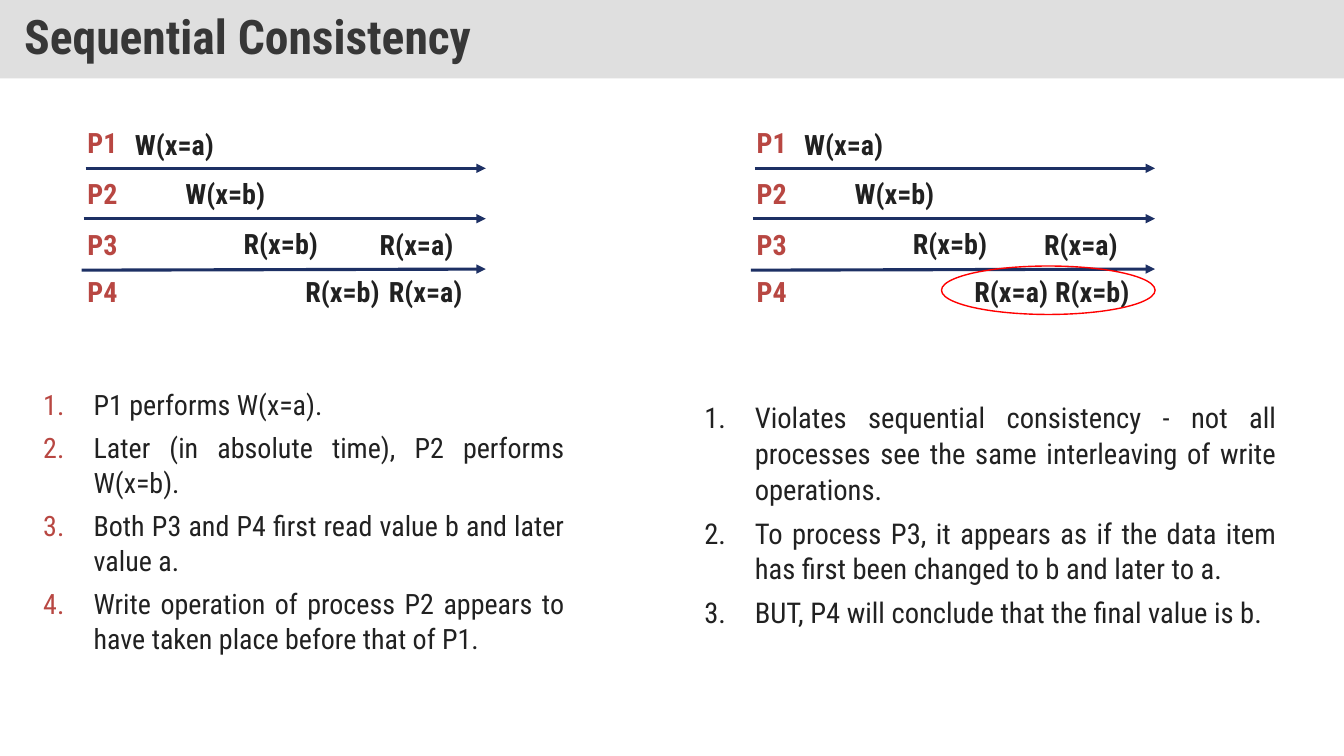
from lxml import etree
from pptx import Presentation
from pptx.dml.color import RGBColor
from pptx.enum.shapes import MSO_CONNECTOR, MSO_SHAPE
from pptx.enum.text import MSO_ANCHOR, MSO_AUTO_SIZE as AutoSize, PP_ALIGN
from pptx.oxml.ns import qn
from pptx.util import Pt

FONT = "Roboto Condensed"
INK = RGBColor(0x21, 0x21, 0x21)
TITLE_INK = RGBColor(0x37, 0x37, 0x37)
BAND = RGBColor(0xC0, 0xC0, 0xC0)
RED = RGBColor(0xB8, 0x47, 0x42)
NAVY = RGBColor(0x1D, 0x30, 0x64)
MARK = RGBColor(0xFF, 0x00, 0x00)

prs = Presentation()
prs.slide_width, prs.slide_height = Pt(960), Pt(540)
slide = prs.slides.add_slide(prs.slide_layouts[5])
shapes = slide.shapes


def add_run(paragraph, text, size, color, bold=False):
    run = paragraph.add_run()
    run.text = text
    run.font.name, run.font.size, run.font.bold = FONT, Pt(size), bold
    run.font.color.rgb = color


def add_label(text, left, top, width, color):
    label = shapes.add_textbox(Pt(left), Pt(top), Pt(width), Pt(31.5)).text_frame
    label.word_wrap = False
    label.auto_size = AutoSize.SHAPE_TO_FIT_TEXT
    add_run(label.paragraphs[0], text, 20, color, bold=True)


# Title band, half transparent
title = shapes.title
title.left, title.top, title.width, title.height = Pt(0), Pt(0), Pt(960), Pt(56)
title.fill.solid()
title.fill.fore_color.rgb = BAND
band_color = title.fill._xPr.find(qn("a:solidFill"))[0]
etree.SubElement(band_color, qn("a:alpha"), val="50000")
heading = title.text_frame
heading.auto_size = AutoSize.NONE
heading.vertical_anchor = MSO_ANCHOR.MIDDLE
heading.margin_left = heading.margin_right = Pt(17.28)
heading.margin_top = heading.margin_bottom = Pt(8.64)
heading.paragraphs[0].alignment = PP_ALIGN.LEFT
heading.paragraphs[0].line_spacing = 0.9
add_run(heading.paragraphs[0], "Sequential Consistency", 34, TITLE_INK, bold=True)

# Process timelines: labels, arrows and operations, relative to the diagram's left
PROCESSES = [("P1", 86.4), ("P2", 122.4), ("P3", 159), ("P4", 192.2)]
ARROWS = [(61.2, 120.2, 120.2), (59.8, 156.2, 156.2), (58.3, 193, 192.2)]
WIDTHS = {"W(x=a)": 74.9, "W(x=b)": 75.6, "R(x=a)": 67.7, "R(x=b)": 69.1}
SHARED = [("W(x=a)", 89.3, 87.8), ("W(x=b)", 125.3, 122.4), ("R(x=b)", 167, 158.4)]
DIAGRAMS = [
    (0, [("R(x=a)", 264.2, 159), ("R(x=b)", 211, 192.2), ("R(x=a)", 270.7, 192.2)]),
    (478, [("R(x=a)", 260.7, 159), ("R(x=a)", 211, 192.2), ("R(x=b)", 268.6, 192.2)]),
]
for origin, reads in DIAGRAMS:
    for process, top in PROCESSES:
        add_label(process, origin + 55.4, top, 36, RED)
    for start, start_y, end_y in ARROWS:
        arrow = shapes.add_connector(MSO_CONNECTOR.STRAIGHT, Pt(origin + start),
                                     Pt(start_y), Pt(origin + 347), Pt(end_y))
        arrow.line.color.rgb = NAVY
        arrow.line.width = Pt(2.25)
        etree.SubElement(arrow.line._get_or_add_ln(), qn("a:tailEnd"), type="triangle")
        etree.SubElement(arrow._element.spPr, qn("a:effectLst"))
    for operation, left, top in SHARED + reads:
        add_label(operation, origin + left, top, WIDTHS[operation], INK)

# Ring around the conflicting reads
conflict = shapes.add_shape(MSO_SHAPE.OVAL, Pt(672.5), Pt(190), Pt(152.6), Pt(34.6))
conflict.shadow.inherit = False
conflict.fill.background()
conflict.line.color.rgb = MARK
conflict.line.width = Pt(1)

# Numbered explanations below each diagram
EXPLANATIONS = [
    (23.8, 272.2, 386.6, 219, 20, RED, [
        "P1 performs W(x=a).",
        "Later (in absolute time), P2 performs W(x=b).",
        "Both P3 and P4 first read value b and later value a.",
        "Write operation of process P2 appears to have taken place before that of P1.",
    ]),
    (496.1, 281.5, 422.6, 226.8, 20.4, INK, [
        "Violates sequential consistency - not all processes see the same "
        "interleaving of write operations.",
        "To process P3, it appears as if the data item has first been changed to b "
        "and later to a.",
        "BUT, P4 will conclude that the final value is b.",
    ]),
]
for left, top, width, height, size, number_color, steps in EXPLANATIONS:
    explanation = shapes.add_textbox(Pt(left), Pt(top), Pt(width), Pt(height)).text_frame
    explanation.word_wrap = True
    for index, step in enumerate(steps):
        item = explanation.add_paragraph() if index else explanation.paragraphs[0]
        item.alignment = PP_ALIGN.JUSTIFY
        item.line_spacing = 1.04
        item.space_before = Pt(5.8 if index else 0)
        props = item._p.get_or_add_pPr()
        props.set("marL", str(Pt(36)))
        props.set("indent", str(-Pt(36)))
        bullet_color = etree.SubElement(props, qn("a:buClr"))
        etree.SubElement(bullet_color, qn("a:srgbClr"), val=str(number_color))
        etree.SubElement(props, qn("a:buFont"), typeface=FONT)
        etree.SubElement(props, qn("a:buAutoNum"), type="arabicPeriod")
        add_run(item, step, size, INK)

prs.save("out.pptx")
